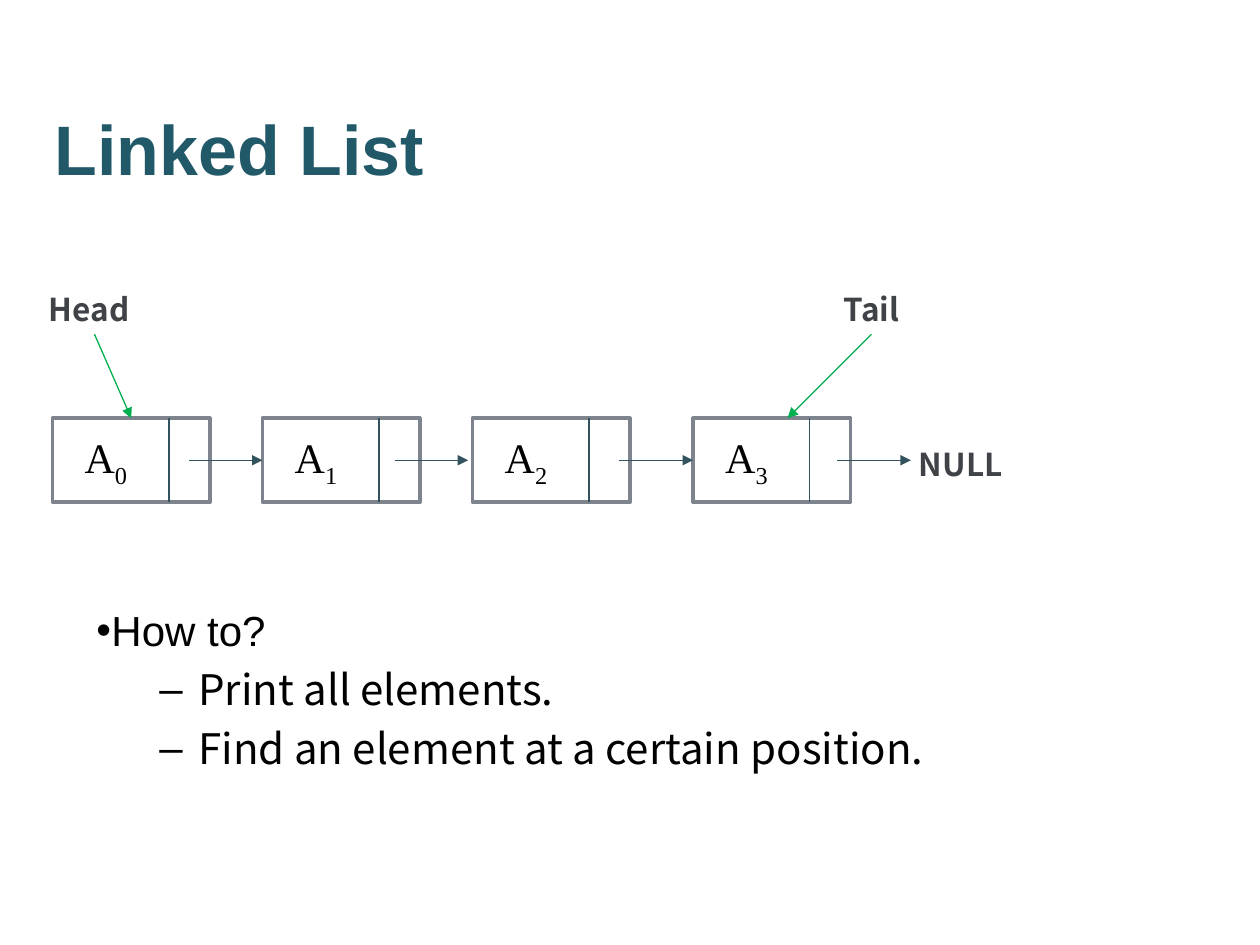
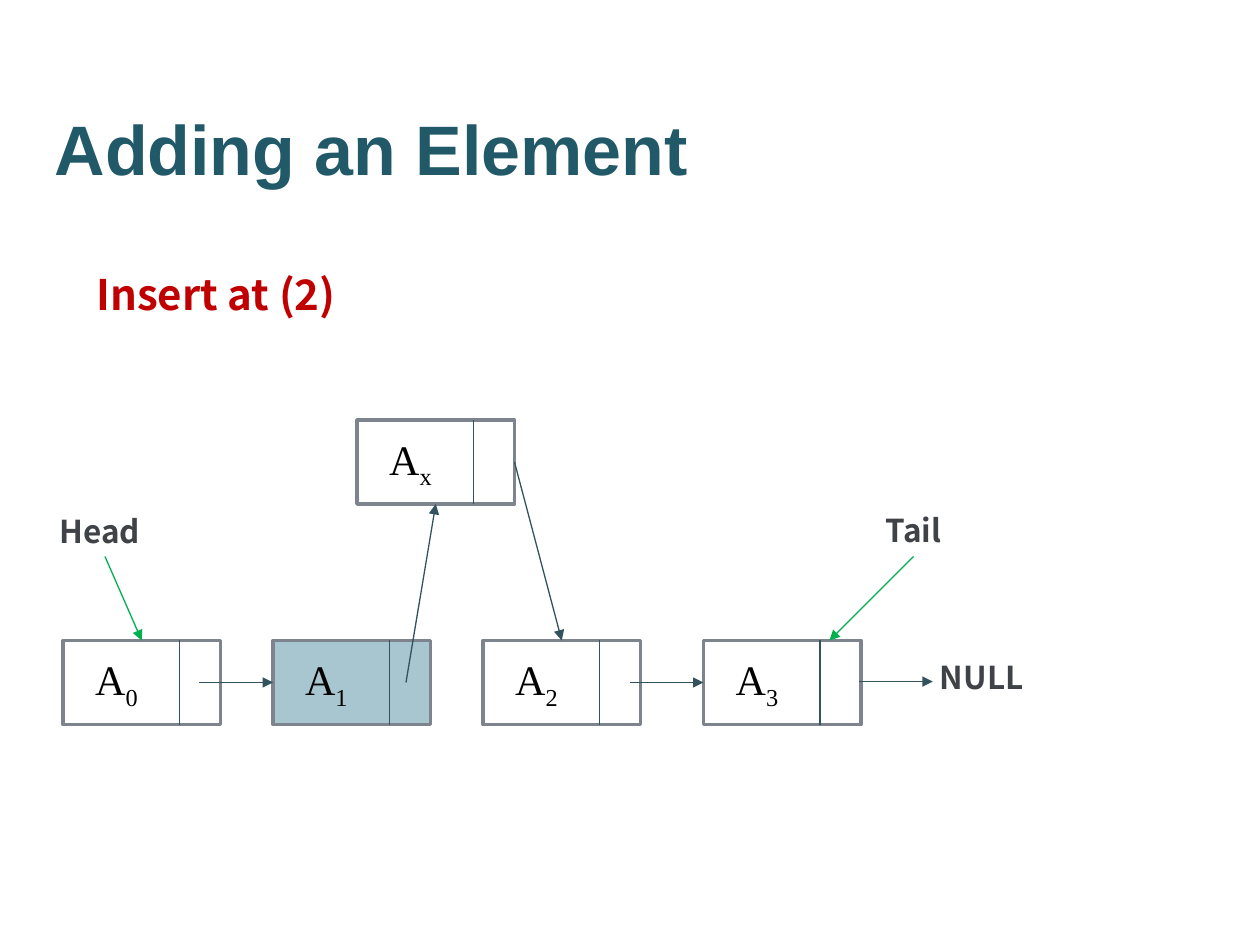
from lxml.etree import SubElement
from pptx import Presentation
from pptx.dml.color import RGBColor
from pptx.enum.shapes import MSO_CONNECTOR, MSO_SHAPE
from pptx.enum.text import MSO_ANCHOR, MSO_AUTO_SIZE, PP_ALIGN
from pptx.oxml.ns import qn
from pptx.util import Pt

TEAL = RGBColor(0x21, 0x59, 0x68)
SLATE = RGBColor(0x32, 0x52, 0x5D)
GREY = RGBColor(0x7E, 0x84, 0x8D)
DARK = RGBColor(0x3F, 0x42, 0x47)
GREEN = RGBColor(0x00, 0xB0, 0x50)
RED = RGBColor(0xC0, 0x00, 0x00)
PALE = RGBColor(0xA8, 0xC6, 0xD0)
WHITE = RGBColor(0xFF, 0xFF, 0xFF)
BLACK = RGBColor(0, 0, 0)

ARIAL, SANS, SERIF = "Arial", "Noto Sans CJK KR", "Times New Roman"
TITLE_LAYOUT, BODY_LAYOUT = 5, 1
NODE_W, NODE_H, DIVIDER = 90, 48, 66.6
LABEL_W, LABEL_H = 66, 29

# Nodes: subscript, left, top, fill. Arrows: start x, y, end x, y, colour.
# Labels: text, left, top.
PAGES = [
    {
        "title": "Linked List",
        "list": [(0, "How to?"), (1, "Print all elements."),
                 (1, "Find an element at a certain position.")],
        "nodes": [("0", 30, 239, WHITE), ("1", 150, 239, WHITE),
                  ("2", 270, 239, WHITE), ("3", 396, 239, WHITE)],
        "arrows": [(108, 263, 150, 263, SLATE), (225.5, 263, 267.5, 263, SLATE),
                   (354, 263, 396, 263, SLATE), (478.5, 263, 520.5, 263, SLATE),
                   (54, 191, 75, 239, GREEN), (498, 191, 450, 239, GREEN)],
        "labels": [("Head", 18, 162), ("Tail", 465, 162), ("NULL", 516, 250.5)],
    },
    {
        "title": "Adding an Element",
        "heading": "Insert at (2)",
        "nodes": [("0", 36, 366, WHITE), ("1", 156, 366, PALE),
                  ("2", 276, 366, WHITE), ("3", 402, 366, WHITE),
                  ("x", 204, 240, WHITE)],
        "arrows": [(114, 390, 156, 390, SLATE), (232, 390, 249, 288, SLATE),
                   (360, 390, 402, 390, SLATE), (491, 389.5, 533, 389.5, SLATE),
                   (294, 264, 321, 366, SLATE),
                   (60, 318, 81, 366, GREEN), (522, 318, 474, 366, GREEN)],
        "labels": [("Head", 24, 289), ("Tail", 489, 288.5), ("NULL", 528, 372.5)],
    },
]

# Per list level: bullet, left margin, font
LEVELS = [("\u2022", 8.64, 8.64, ARIAL), ("\u2013", 58.3, 22.3, SANS)]


def place(shape, left, top, width, height):
    """Move and size a shape, in points."""
    shape.left, shape.top = Pt(left), Pt(top)
    shape.width, shape.height = Pt(width), Pt(height)


def add_span(para, text, font, size, colour, bold=False):
    """Add one formatted run to a paragraph."""
    span = para.add_run()
    span.text = text
    span.font.name, span.font.size, span.font.bold = font, Pt(size), bold
    span.font.color.rgb = colour
    return span


def add_title(page, text):
    """Fill the title placeholder."""
    title = page.shapes.title
    place(title, 24, 42, 564, 84)
    frame = title.text_frame
    frame.auto_size = MSO_AUTO_SIZE.NONE
    frame.vertical_anchor = MSO_ANCHOR.MIDDLE
    para = frame.paragraphs[0]
    para.alignment = PP_ALIGN.LEFT
    add_span(para, text, ARIAL, 40, TEAL, True)


def add_list(page, items):
    """Fill the body placeholder with a two-level bulleted list."""
    body = page.placeholders[1]
    place(body, 24, 342, 648, 120)
    frame = body.text_frame
    frame.auto_size = MSO_AUTO_SIZE.NONE
    frame.margin_left = Pt(31)
    for index, (level, text) in enumerate(items):
        para = frame.add_paragraph() if index else frame.paragraphs[0]
        bullet, margin, hang, font = LEVELS[level]
        para.level = level
        para.alignment = PP_ALIGN.LEFT if level else PP_ALIGN.JUSTIFY
        add_span(para, text, font, 24, BLACK)
        props = para._p.get_or_add_pPr()
        props.set("marL", str(Pt(margin)))
        props.set("indent", str(-Pt(hang)))
        before = SubElement(props, qn("a:spcBef"))
        SubElement(before, qn("a:spcPct")).set("val", "20000")
        SubElement(props, qn("a:buChar")).set("char", bullet)


def add_line(page, x1, y1, x2, y2, colour, arrow=True):
    """Draw a thin straight line, with an arrowhead at its end if asked."""
    line = page.shapes.add_connector(MSO_CONNECTOR.STRAIGHT,
                                     Pt(x1), Pt(y1), Pt(x2), Pt(y2))
    line.line.color.rgb = colour
    line.line.width = Pt(0.75)
    if arrow:
        SubElement(line.line._get_or_add_ln(), qn("a:tailEnd")).set("type", "triangle")
    SubElement(line._element.spPr, qn("a:effectLst"))


def add_node(page, subscript, left, top, fill):
    """Draw a list node: a box for the element and a cell for its link."""
    box = page.shapes.add_shape(MSO_SHAPE.RECTANGLE, Pt(left), Pt(top),
                                Pt(NODE_W), Pt(NODE_H))
    box.shadow.inherit = False
    box.fill.solid()
    box.fill.fore_color.rgb = fill
    box.line.color.rgb = GREY
    box.line.width = Pt(2)
    frame = box.text_frame
    frame.margin_right = Pt(36)
    frame.vertical_anchor = MSO_ANCHOR.MIDDLE
    para = frame.paragraphs[0]
    para.alignment = PP_ALIGN.CENTER
    add_span(para, "A", SERIF, 24, BLACK)
    low = add_span(para, subscript, SERIF, 24, BLACK)
    low.font._element.set("baseline", "-25000")
    x = left + DIVIDER
    add_line(page, x, top, x, top + NODE_H, SLATE, arrow=False)


def add_text(page, text, left, top, width, height, size, colour, align):
    """Add a bold one-line text box."""
    box = page.shapes.add_textbox(Pt(left), Pt(top), Pt(width), Pt(height))
    frame = box.text_frame
    frame.word_wrap = True
    frame.auto_size = MSO_AUTO_SIZE.SHAPE_TO_FIT_TEXT
    para = frame.paragraphs[0]
    para.alignment = align
    add_span(para, text, SANS, size, colour, True)


def build_page(deck, content):
    """Build one slide from its content."""
    layout = BODY_LAYOUT if "list" in content else TITLE_LAYOUT
    page = deck.slides.add_slide(deck.slide_layouts[layout])
    add_title(page, content["title"])
    if "list" in content:
        add_list(page, content["list"])
    if "heading" in content:
        add_text(page, content["heading"], 48, 150, 180, 36, 24, RED, PP_ALIGN.LEFT)
    for node in content["nodes"]:
        add_node(page, *node)
    for arrow in content["arrows"]:
        add_line(page, *arrow)
    for text, left, top in content["labels"]:
        add_text(page, text, left, top, LABEL_W, LABEL_H, 18, DARK, PP_ALIGN.CENTER)


deck = Presentation()
deck.slide_width, deck.slide_height = Pt(720), Pt(540)
for content in PAGES:
    build_page(deck, content)
deck.save("out.pptx")
